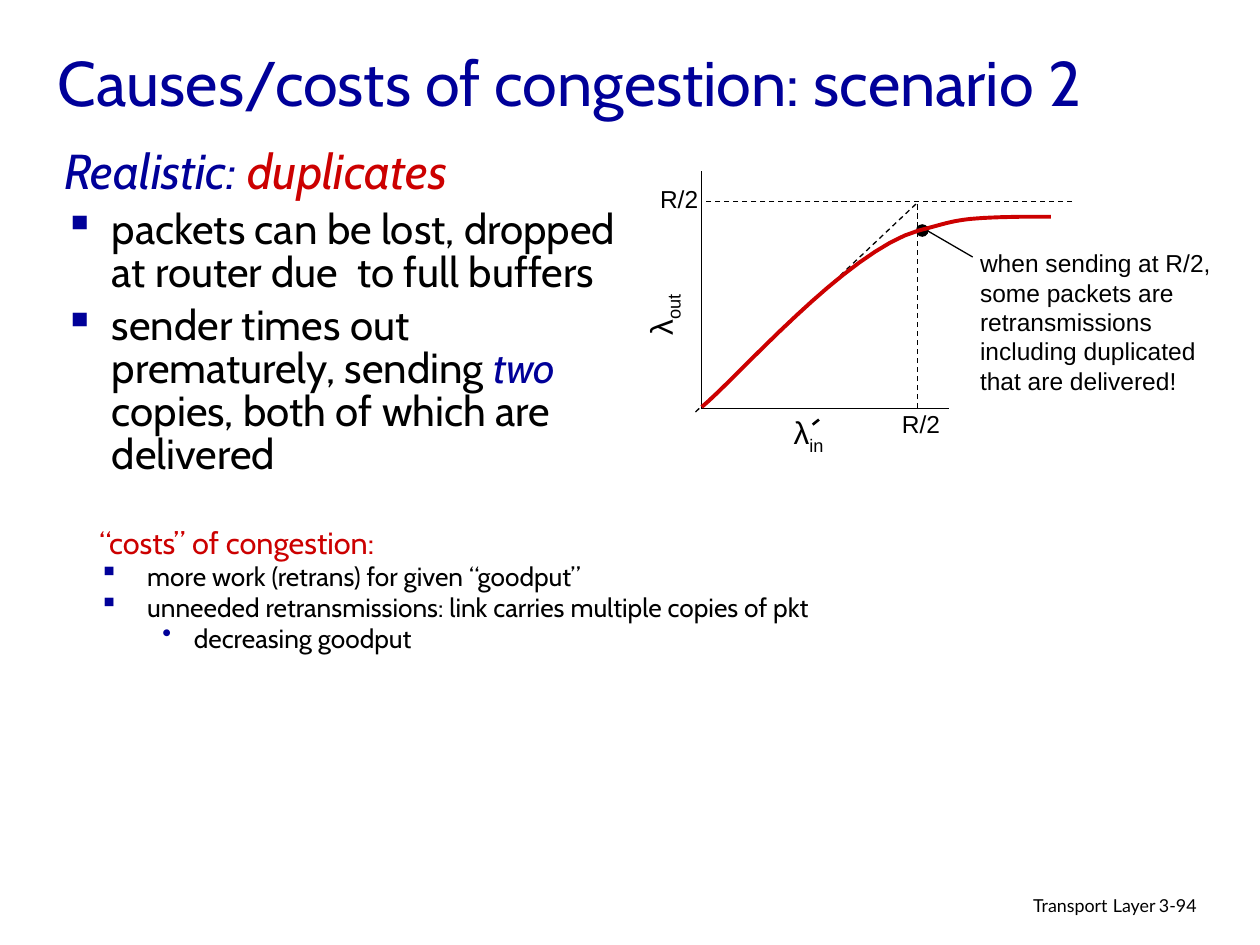
import pptx
import pptx.util
import pptx.dml.color
import pptx.enum.dml
import pptx.enum.shapes
import pptx.enum.text
import pptx.oxml
import pptx.oxml.ns

BLACK, NAVY, RED = "000000", "000099", "CC0000"
COLS, ROWS = 100, 75


def shade(code):
    return pptx.dml.color.RGBColor.from_string(code)


def bezier(start, one, two, end, steps=16):
    for step in range(1, steps + 1):
        t = step / steps
        u = 1 - t
        yield tuple(
            u**3 * a + 3 * u * u * t * b + 3 * u * t * t * c + t**3 * d
            for a, b, c, d in zip(start, one, two, end)
        )


class Board:
    def __init__(self, deck):
        self.deck = deck
        self.shapes = deck.slides.add_slide(deck.slide_layouts[6]).shapes

    def x(self, col):
        return round(self.deck.slide_width * col / COLS)

    def y(self, row):
        return round(self.deck.slide_height * row / ROWS)

    def area(self, left, top, width, height):
        return self.x(left), self.y(top), self.x(width), self.y(height)

    def child(self, parent, tag, **values):
        node = pptx.oxml.parse_xml(f'<a:{tag} {pptx.oxml.ns.nsdecls("a")}/>')
        for key, value in values.items():
            node.set(key, value)
        parent.append(node)
        return node

    def text(self, area, wrap=True, grow=False, turn=0, middle=False):
        box = self.shapes.add_textbox(*self.area(*area))
        box.rotation = turn
        frame = box.text_frame
        frame.word_wrap = wrap
        if grow:
            frame.auto_size = pptx.enum.text.MSO_AUTO_SIZE.SHAPE_TO_FIT_TEXT
        if middle:
            frame.vertical_anchor = pptx.enum.text.MSO_ANCHOR.MIDDLE
        return frame

    def para(self, frame, first=False, mark=None, left=0, hang=0, pitch=None, gap=0, right=False):
        para = frame.paragraphs[0] if first else frame.add_paragraph()
        props = para._p.get_or_add_pPr()
        props.set("marL", str(self.x(left)))
        props.set("indent", str(-self.x(hang)))
        if mark:
            self.child(self.child(props, "buClr"), "srgbClr", val=NAVY)
            self.child(props, "buChar", char=mark)
        if pitch:
            para.line_spacing = pitch
        para.space_before = pptx.util.Pt(0 if first else gap)
        if right:
            para.alignment = pptx.enum.text.PP_ALIGN.RIGHT
        return para

    def run(self, para, words, size, face="Cabin", color=BLACK, slant=False, sub=False):
        run = para.add_run()
        run.text = words
        font = run.font
        font.size = pptx.util.Pt(size)
        font.name = face
        font.italic = slant
        font.color.rgb = shade(color)
        if sub:
            run._r.get_or_add_rPr().set("baseline", "-25000")

    def label(self, area, words, size=14, sub=None, **style):
        para = self.para(self.text(area, grow=True, **style), first=True)
        self.run(para, words, size, "Arial")
        if sub:
            self.run(para, sub, size, "Arial", sub=True)

    def line(self, start, end, width=0.75, dash=False, arrow=False):
        line = self.shapes.add_connector(
            pptx.enum.shapes.MSO_CONNECTOR.STRAIGHT,
            self.x(start[0]), self.y(start[1]), self.x(end[0]), self.y(end[1]),
        )
        line.line.color.rgb = shade(BLACK)
        line.line.width = pptx.util.Pt(width)
        if dash:
            line.line.dash_style = pptx.enum.dml.MSO_LINE.DASH
        if arrow:
            self.child(line.line._get_or_add_ln(), "tailEnd", type="triangle")
        self.child(line._element.spPr, "effectLst")

    def dot(self, area):
        dot = self.shapes.add_shape(pptx.enum.shapes.MSO_SHAPE.OVAL, *self.area(*area))
        dot.shadow.inherit = False
        dot.fill.solid()
        dot.fill.fore_color.rgb = shade(BLACK)
        dot.line.fill.background()

    def curve(self, start, parts, color, width):
        pen = self.shapes.build_freeform(self.x(start[0]), self.y(start[1]))
        points = []
        for part in parts:
            points.extend(bezier(start, *part))
            start = part[-1]
        pen.add_line_segments([(self.x(a), self.y(b)) for a, b in points], close=False)
        curve = pen.convert_to_shape()
        curve.shadow.inherit = False
        curve.fill.background()
        curve.line.color.rgb = shade(color)
        curve.line.width = pptx.util.Pt(width)


def main():
    deck = pptx.Presentation()
    deck.slide_width = pptx.util.Inches(10)
    deck.slide_height = pptx.util.Inches(7.5)
    board = Board(deck)

    foot = board.para(board.text((61, 70.5, 31.7, 3.1)), first=True, pitch=0.9, right=True)
    for words, size in (("Transport", 10.2), (" ", 11.9), ("Layer", 10.2)):
        board.run(foot, words, size, "Lato")
    page = board.para(board.text((91, 70.7, 7.4, 3)), first=True, pitch=0.9)
    board.run(page, "3-94", 10.2, "Lato")

    title = board.para(board.text((3.6, 1.7, 85, 9.5), middle=True), first=True)
    board.run(title, "Causes/costs of congestion: scenario 2", 36, color=NAVY)

    body = board.text((4.1, 11.4, 47.1, 21))
    style = dict(left=3.8, hang=3.8, pitch=0.85, gap=6)
    head = board.para(body, first=True, **style)
    board.run(head, "Realistic: ", 28, color=NAVY, slant=True)
    board.run(head, "duplicates", 28, color=RED, slant=True)
    lost = board.para(body, mark="▪", **style)
    board.run(lost, "packets can be lost, dropped at router due  to full buffers", 24)
    late = board.para(body, mark="▪", **style)
    board.run(late, "sender times out prematurely, sending ", 24)
    board.run(late, "two ", 24, color=NAVY, slant=True)
    board.run(late, "copies, both of which are delivered", 24)

    costs = board.text((6.9, 42, 89.1, 10.8))
    head = board.para(costs, first=True, left=3.8, hang=3.8, pitch=0.65)
    board.run(head, "“costs” of congestion:", 17.5, color=RED)
    for words, mark, left, hang in (
        ("more work (retrans) for given “goodput”", "▪", 3.8, 3.8),
        ("unneeded retransmissions: link carries multiple copies of pkt", "▪", 3.8, 3.8),
        ("decreasing goodput", "•", 7.5, 2.5),
    ):
        item = board.para(costs, mark=mark, left=left, hang=hang, pitch=0.65, gap=6)
        board.run(item, words, 15)

    board.line((55.7, 13.6), (55.7, 32.4))
    board.line((75.3, 32.4), (55.6, 32.4))
    board.line((85.1, 16), (55.6, 16), dash=True)
    board.line((55.2, 32.7), (72.9, 16), dash=True)
    board.line((72.8, 32.4), (72.8, 16.2), dash=True)
    board.dot((72.7, 17.8, 1, 1))
    board.line((77.2, 20.4), (72.9, 17.9), arrow=True)
    board.curve(
        (55.7, 32.3),
        (
            ((58.5, 30), (67.2, 19.9), (72.9, 18.3)),
            ((76, 17.5), (75.8, 17.3), (81.1, 17.2)),
            ((83.4, 17.2), (82.9, 17.2), (83.4, 17.2)),
        ),
        RED, 2.25,
    )

    for left, top in ((51.4, 14.1), (70.6, 32)):
        board.label((left, top, 5, 3.4), "R/2", wrap=False)
    board.label((49.2, 22, 6.8, 4.4), "λ", 18, "out", turn=270)
    board.label((62, 32.3, 4.5, 4.4), "λ", 18, "in", wrap=False)
    board.line((64.5, 33.7), (65, 33.3), width=1.5)
    board.label(
        (76.8, 19.2, 20.6, 12.7),
        "when sending at R/2, some packets are retransmissions including duplicated that are delivered!",
    )

    deck.save("out.pptx")


if __name__ == "__main__":
    main()
